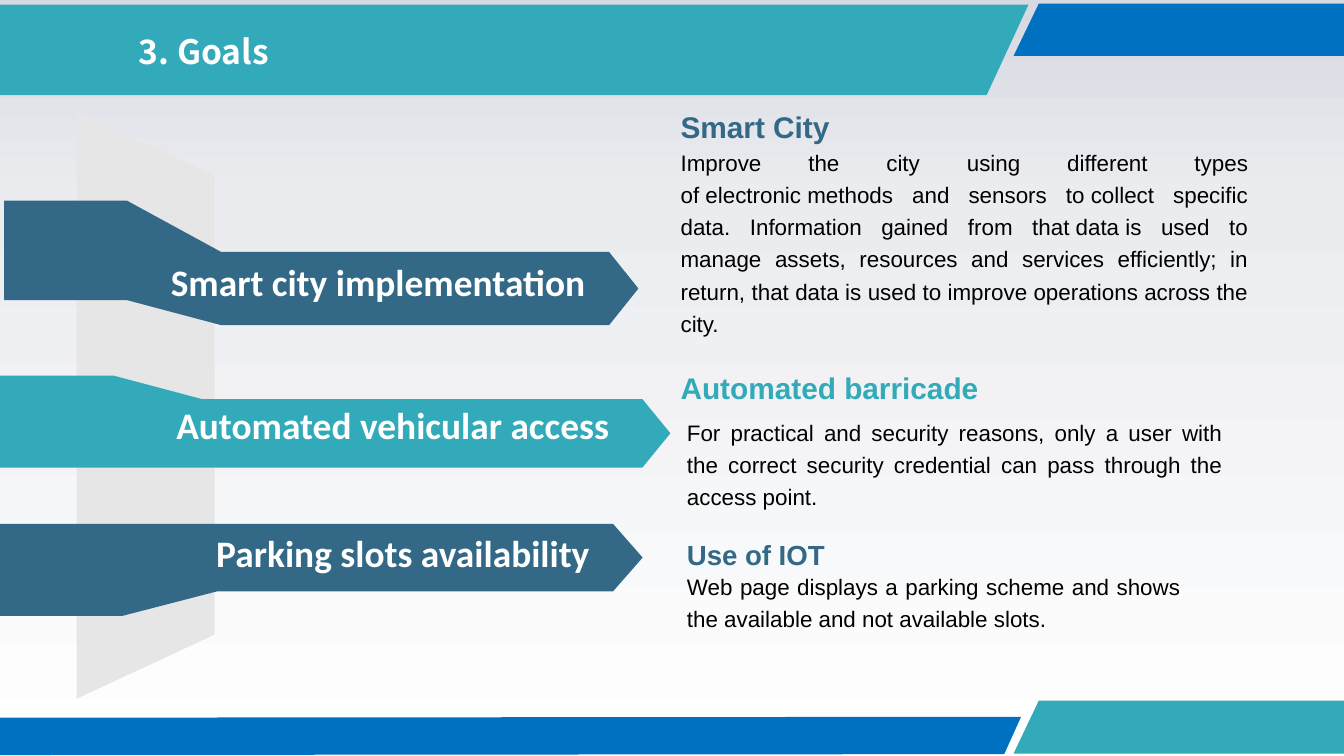
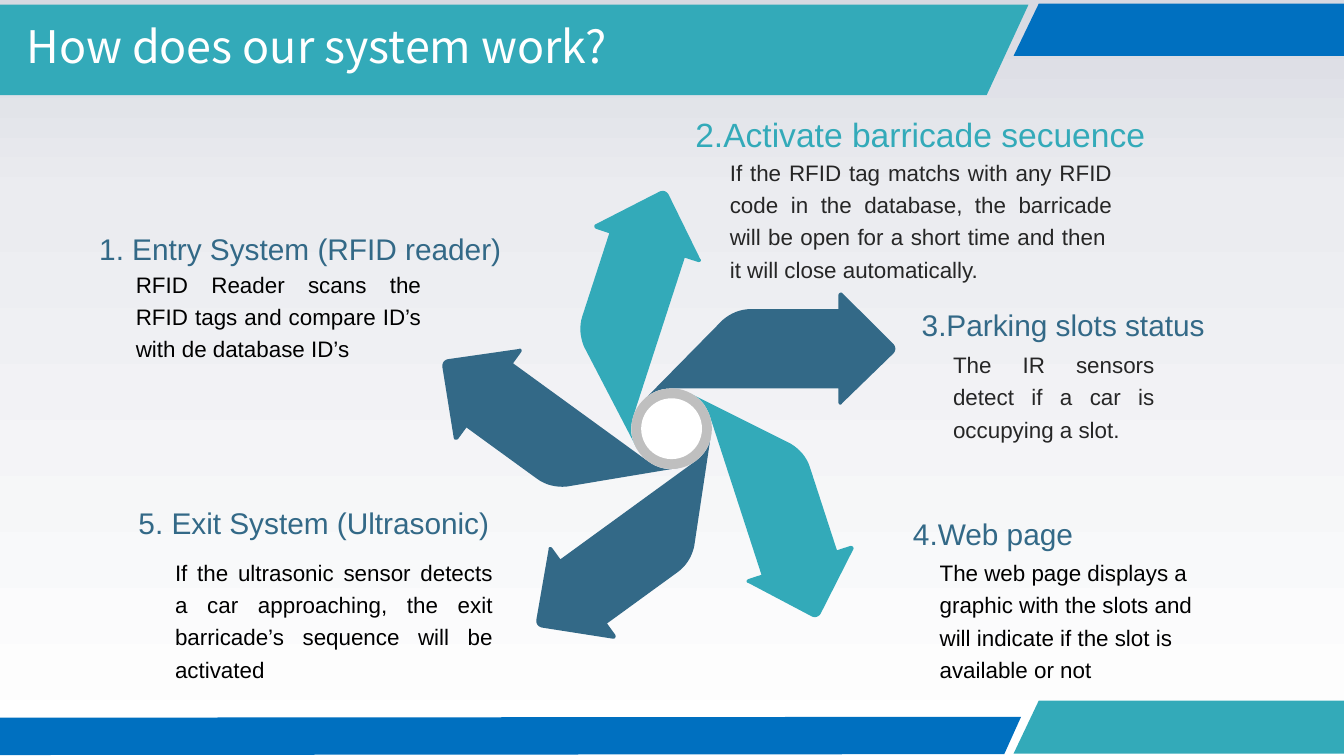
"""Build the goals slide and the system pinwheel slide."""
import copy
import math

import pptx
import pptx.dml.color
import pptx.enum.shapes
import pptx.enum.text
import pptx.oxml.ns
import pptx.util

Pt = pptx.util.Pt
ALIGN = pptx.enum.text.PP_ALIGN
ANCHOR = pptx.enum.text.MSO_ANCHOR
AUTOSIZE = pptx.enum.text.MSO_AUTO_SIZE
PRESET = pptx.enum.shapes.MSO_SHAPE
HARD_SPACE = chr(160)

COLORS = {
    "navy": "336987", "teal": "33AAB9", "blue": "0070C0", "white": "FFFFFF",
    "pillar": "E6E6E6", "ring": "BFBFBF", "black": "000000", "charcoal": "262626",
    "mist": "D7D9E1", "haze": "EBECF0",
}
BACKDROP = [(0, "mist"), (0.26, "haze"), (1, "white")]
BANDS = [
    ("blue", [(0, 384.5), (547, 384), (538, 404), (0, 404.5)]),
    ("teal", [(720, 375.4), (720, 403.8), (543, 403.8), (556.5, 375.4)]),
    ("teal", [(0, 2.5), (551, 2.5), (528.6, 51), (0, 51)]),
    ("blue", [(720, 2), (720, 30), (543, 30), (556.5, 2)]),
]

GOAL_INSETS = (28, 0, 22.3, 0)
STEP_INSETS = (28, 0, 28, 0)
EXIT_INSETS = (5.8, 0, 28, 0)
WEB_INSETS = (28, 0, 0, 0)
TITLE_INSETS = (0, 3.6, 0, 3.6)

STYLES = {
    "ribbon": {
        "frame": {"word_wrap": False, "vertical_anchor": ANCHOR.BOTTOM},
        "paragraph": {"alignment": ALIGN.RIGHT},
        "font": {"name": "Calibri", "size": Pt(20), "bold": True},
    },
    "goal": {
        "frame": {"word_wrap": False, "vertical_anchor": ANCHOR.MIDDLE},
        "paragraph": {"alignment": ALIGN.LEFT},
        "font": {"name": "Arial", "size": Pt(16), "bold": True},
    },
    "goal text": {
        "frame": {"word_wrap": True, "vertical_anchor": ANCHOR.MIDDLE},
        "paragraph": {"alignment": ALIGN.JUSTIFY, "line_spacing": 1.2},
        "font": {"name": "Arial", "size": Pt(12)},
    },
    "step": {
        "frame": {"word_wrap": False, "vertical_anchor": ANCHOR.MIDDLE},
        "paragraph": {"alignment": ALIGN.CENTER},
        "font": {"name": "Arial", "size": Pt(16)},
    },
    "step text": {
        "frame": {"word_wrap": True, "vertical_anchor": ANCHOR.TOP},
        "paragraph": {"alignment": ALIGN.JUSTIFY, "line_spacing": 1.2},
        "font": {"name": "Arial", "size": Pt(12)},
    },
    "numbered title": {
        "frame": {"word_wrap": True, "auto_size": AUTOSIZE.SHAPE_TO_FIT_TEXT},
        "paragraph": {"alignment": ALIGN.CENTER, "line_spacing": 1.2},
        "font": {"name": "Noto Sans CJK SC", "size": Pt(18), "bold": True},
    },
    "question title": {
        "frame": {"word_wrap": True, "vertical_anchor": ANCHOR.MIDDLE},
        "paragraph": {"alignment": ALIGN.LEFT},
        "font": {"name": "Noto Sans CJK SC", "size": Pt(24)},
    },
}

PILLAR = [(41, 59.8), (115, 94.3), (115, 340), (41, 374.4)]
RIBBONS = [
    {"text": "Parking slots availability", "color": "navy", "left": 0,
     "tail": (280.7, 330), "body": (280.7, 316.8), "xs": (65.5, 116.5, 328.5, 344.3),
     "insets": (3.6, 3.6, 28.3, 3.6), "changes": {"vertical_anchor": ANCHOR.TOP}},
    {"text": "Automated vehicular access ", "color": "teal", "left": -0.7,
     "tail": (201.2, 250.5), "body": (213.8, 250.5), "xs": (60.8, 108.2, 344.2, 359.2),
     "insets": (3.6, 3.6, 28.3, 11.2), "changes": {}},
    {"text": "Smart city implementation", "color": "navy", "left": 2.2,
     "tail": (107.5, 160.8), "body": (135, 174.2), "xs": (68, 118.5, 326.3, 342),
     "insets": (3.6, 3.6, 28.3, 11.2), "changes": {}},
]
GOALS = [
    ("Use of IOT", (340, 288.4, 250, 17.3), "goal", "navy", GOAL_INSETS, {"size": Pt(14.8)}),
    ("Web page displays a parking scheme and shows the available and not available slots.",
     (340, 300.4, 315, 41.8), "goal text", "black", GOAL_INSETS),
    ("For practical and security reasons, only a user with the correct security credential "
     "can pass through the access point.",
     (340, 227.2, 337.4, 40.3), "goal text", "black", GOAL_INSETS),
    ("Smart City", (336.6, 54.7, 327, 26), "goal", "navy", GOAL_INSETS),
    (f"Improve the city using different types of{HARD_SPACE}electronic{HARD_SPACE}methods "
     f"and sensors to{HARD_SPACE}collect specific data. Information gained from "
     f"that{HARD_SPACE}data{HARD_SPACE}is used to manage assets, resources and services "
     "efficiently; in return, that data is used to improve operations across the city.",
     (336.6, 87.2, 354.7, 83), "goal text", "black", GOAL_INSETS),
    ("Automated barricade", (336.6, 194.4, 327, 26), "goal", "teal", GOAL_INSETS),
    ("3. Goals", (-70.8, 8.9, 360, 31), "numbered title", "white", (7.2, 3.6, 7.2, 3.6)),
]

HUB = (359.8, 229.7)
RINGS = [("ring", 43.2), ("white", 32.6)]
BLADE = [
    (89.3, -64.1), (42.5, -64.1), (36.7, -64.1, 31.7, -61.9, 27.4, -58.3),
    (-15.1, -15.1), (-11.5, -19.4, -6.5, -21.6, 0, -21.6),
    (89.3, -21.6), (89.3, -14.4), (89.3, -13, 90.7, -12.2, 91.4, -13.7),
    (118.8, -40.3), (120.2, -41.8, 120.2, -43.9, 118.8, -45.4),
    (91.4, -72.7), (90.7, -73.4, 89.3, -72.7, 89.3, -71.3),
]
BLADE_COLORS = ["navy", "teal", "navy", "navy", "teal"]
STEPS = [
    ("2.Activate barricade secuence", (386.6, 59, 213, 25.2), "step", "teal",
     STEP_INSETS, {"size": Pt(18)}),
    ("If the RFID tag matchs with any RFID code in the database, the barricade will be "
     f"open for a short time and then{HARD_SPACE} it will close automatically.",
     (363, 82.4, 261, 39.6), "step text", "charcoal", STEP_INSETS),
    ("1. Entry System (RFID reader)", (18.7, 122.2, 284.4, 22.3), "step", "navy", STEP_INSETS),
    ("RFID Reader scans the RFID tags and compare ID’s with de database ID’s",
     (44.8, 142.3, 209, 57), "step text", "black", STEP_INSETS),
    ("3.Parking slots status", (484.6, 157.2, 170, 33), "step", "navy", STEP_INSETS),
    ("The IR sensors detect if a car is occupying a slot.",
     (482.6, 185.4, 164, 50.4), "step text", "charcoal", STEP_INSETS),
    ("5. Exit System (Ultrasonic)", (86.4, 265, 185.8, 30.2), "step", "navy", EXIT_INSETS),
    ("If the ultrasonic sensor detects a car approaching, the exit barricade’s sequence "
     "will be activated",
     (88, 296.6, 204.2, 62), "step text", "black", EXIT_INSETS),
    ("4.Web page", (432, 271.4, 172, 28.8), "step", "navy", WEB_INSETS),
    ("The web page displays a graphic with the slots and will indicate if the slot is "
     "available or not",
     (475.4, 301.4, 172, 59.8), "goal text", "black", WEB_INSETS, {"alignment": ALIGN.LEFT}),
    ("How does our system work?", (14.2, 8.6, 368.6, 31.7), "question title", "white",
     TITLE_INSETS),
]


def rgb(name):
    return pptx.dml.color.RGBColor.from_string(COLORS[name])


def paint(shape, color):
    shape.fill.solid()
    shape.fill.fore_color.rgb = rgb(color)
    shape.line.fill.background()
    shape.shadow.inherit = False
    return shape


def draw_outline(slide, color, points):
    corners = [(Pt(x), Pt(y)) for x, y in points]
    outline = slide.shapes.build_freeform(*corners[0])
    outline.add_line_segments(corners[1:], close=True)
    return paint(outline.convert_to_shape(), color)


def write(shape, text, style, color, insets, changes=()):
    frame = shape.text_frame
    frame.text = text
    paragraph = frame.paragraphs[0]
    font = paragraph.runs[0].font
    changes = dict(changes)
    targets = {"frame": frame, "paragraph": paragraph, "font": font}
    for part, target in targets.items():
        for key, value in STYLES[style][part].items():
            setattr(target, key, changes.get(key, value))
    sides = ("margin_left", "margin_top", "margin_right", "margin_bottom")
    for side, inset in zip(sides, insets):
        setattr(frame, side, Pt(inset))
    font.color.rgb = rgb(color)


def add_texts(slide, entries):
    for text, box, style, *look in entries:
        place = tuple(map(Pt, box))
        if style == "step":
            holder = slide.shapes.add_shape(PRESET.RECTANGLE, *place)
            holder.fill.background()
            holder.line.fill.background()
            holder.shadow.inherit = False
        else:
            holder = slide.shapes.add_textbox(*place)
        write(holder, text, style, *look)


def add_themed_slide(deck):
    slide = deck.slides.add_slide(deck.slide_layouts[6])
    fill = slide.background.fill
    fill.gradient()
    fill.gradient_angle = 270
    stops = slide.element.find(".//" + pptx.oxml.ns.qn("a:gsLst"))
    stops.append(copy.deepcopy(stops[-1]))
    for stop, (position, color) in zip(fill.gradient_stops, BACKDROP):
        stop.position = position
        stop.color.rgb = rgb(color)
    for color, points in BANDS:
        draw_outline(slide, color, points)
    return slide


def add_ribbon(slide, ribbon):
    left = ribbon["left"]
    tail_top, tail_bottom = ribbon["tail"]
    top, bottom = ribbon["body"]
    fold, body, shoulder, tip = ribbon["xs"]
    shape = draw_outline(slide, ribbon["color"], [
        (left, tail_top), (left, tail_bottom), (fold, tail_bottom), (body, bottom),
        (shoulder, bottom), (tip, (top + bottom) / 2), (shoulder, top), (body, top),
        (fold, tail_top)])
    write(shape, ribbon["text"], "ribbon", "white", ribbon["insets"], ribbon["changes"])


def flatten(segments, steps=8):
    points = []
    for segment in segments:
        if len(segment) == 2:
            points.append(segment)
            continue
        start, curve = points[-1], (segment[:2], segment[2:4], segment[4:])
        for step in range(1, steps + 1):
            t = step / steps
            weights = ((1 - t) ** 3, 3 * t * (1 - t) ** 2, 3 * t * t * (1 - t), t ** 3)
            points.append(tuple(
                sum(weight * point[axis] for weight, point in zip(weights, (start, *curve)))
                for axis in (0, 1)))
    return points


def add_pinwheel(slide):
    hub_x, hub_y = HUB
    blade = flatten(BLADE)
    for turn, color in enumerate(BLADE_COLORS):
        angle = -turn * math.tau / len(BLADE_COLORS)
        cos, sin = math.cos(angle), math.sin(angle)
        draw_outline(slide, color, [
            (hub_x + x * cos - y * sin, hub_y + x * sin + y * cos) for x, y in blade])
    for color, size in RINGS:
        box = (hub_x - size / 2, hub_y - size / 2, size, size)
        paint(slide.shapes.add_shape(PRESET.OVAL, *map(Pt, box)), color)


def main():
    deck = pptx.Presentation()
    deck.slide_width, deck.slide_height = Pt(720), Pt(405)

    goals = add_themed_slide(deck)
    draw_outline(goals, "pillar", PILLAR)
    for ribbon in RIBBONS:
        add_ribbon(goals, ribbon)
    add_texts(goals, GOALS)

    system = add_themed_slide(deck)
    add_pinwheel(system)
    add_texts(system, STEPS)

    deck.save("out.pptx")


if __name__ == "__main__":
    main()
